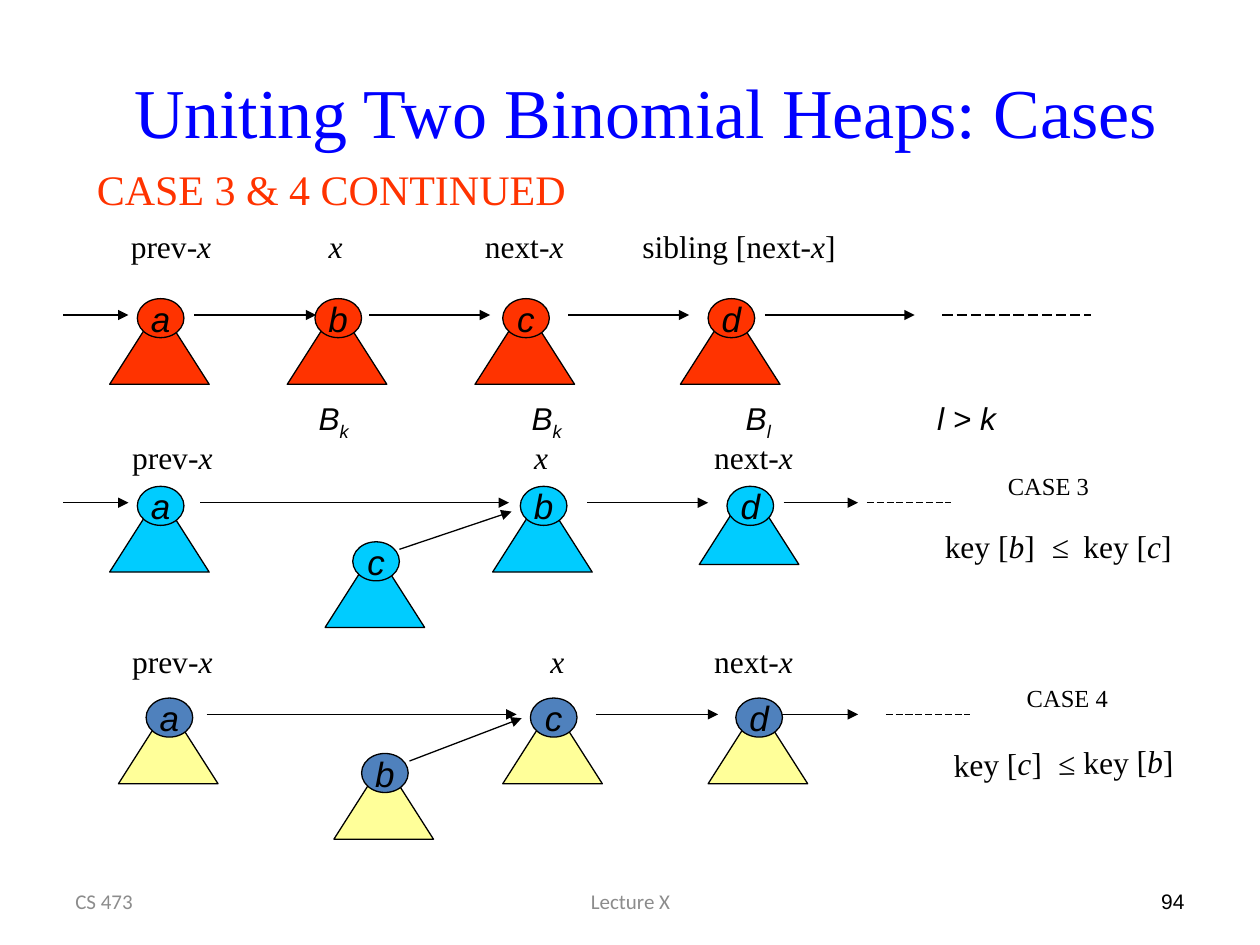
from dataclasses import dataclass

from pptx import Presentation
from pptx.dml.color import RGBColor
from pptx.enum.dml import MSO_LINE
from pptx.enum.shapes import MSO_CONNECTOR, MSO_SHAPE
from pptx.enum.text import MSO_ANCHOR, PP_ALIGN
from pptx.oxml.ns import qn
from pptx.util import Emu, Pt
from lxml.etree import SubElement

PX = 9144  # EMU per px: 100 px to the inch
SERIF, SANS, FOOTER_FONT = "Times New Roman", "Arial", "Calibri"
BLACK, GREY, BLUE, RED = "000000", "8C8C8C", "0000FF", "FF3300"
CYAN, YELLOW, STEEL = "00CCFF", "FFFF99", "4F81BD"
TREE_WIDTH, TREE_HEIGHT = 79, 62
ROOT_WIDTH, ROOT_HEIGHT, ROOT_INSET = 37, 31, 22


@dataclass
class Label:
    """Text where *...* is italic and ~...~ is subscript; tabs in px."""
    text: str
    left: int
    top: int
    width: int
    height: int = 40
    size: int = 18
    font: str = SERIF
    color: str = BLACK
    tabs: tuple[int, ...] = ()
    align: PP_ALIGN = PP_ALIGN.LEFT
    anchor: MSO_ANCHOR = MSO_ANCHOR.TOP
    rotation: float = 0


@dataclass
class Tree:
    name: str
    left: int
    top: int
    drop: int = 6  # from the top of the root to the tip of the triangle


@dataclass
class Heap:
    root_color: str
    tree_color: str
    trees: list[Tree]


@dataclass
class Link:
    x1: int
    y1: int
    x2: int
    y2: int
    dashed: bool = False
    width: float = 0.75


LABELS = [
    Label("CS 473", 50, 695, 233, size=12, font=FOOTER_FONT, color=GREY,
          anchor=MSO_ANCHOR.MIDDLE),
    Label("Lecture X", 342, 695, 317, size=12, font=FOOTER_FONT, color=GREY,
          align=PP_ALIGN.CENTER, anchor=MSO_ANCHOR.MIDDLE),
    Label("94", 717, 695, 233, size=12, font=SANS,
          align=PP_ALIGN.RIGHT, anchor=MSO_ANCHOR.MIDDLE),
    Label("Uniting Two Binomial Heaps: Cases", 50, 25, 925, 125, size=40,
          color=BLUE, align=PP_ALIGN.CENTER, anchor=MSO_ANCHOR.MIDDLE),
    Label("CASE 3 & 4 CONTINUED", 67, 125, 450, 58, size=24, color=RED),
    Label("prev*-x\tx\t*next*-x\t*sibling [next*-x*]", 94, 175, 693,
          tabs=(157, 281, 406)),
    Label("*B~k~\tB~k~\tB~l~\tl > k*", 243, 312, 592, font=SANS,
          tabs=(169, 339, 491)),
    Label("prev*-x\tx\t*next*-x*", 95, 343, 609, tabs=(319, 462)),
    Label("prev*-x\tx\t*next*-x*", 95, 505, 609, tabs=(332, 462)),
    Label("CASE 3", 790, 369, 121, 33, size=14),
    Label("key [*b*]\t≤\tkey [*c*]", 740, 413, 226, tabs=(85, 110)),
    Label("CASE 4", 805, 537, 121, 33, size=14),
    Label("key [*c*]\t≤ key [*b*]", 747, 585, 211, tabs=(83,), rotation=-1.1),
]

HEAPS = [
    Heap(RED, RED, [Tree("a", 87, 237), Tree("b", 228, 237),
                    Tree("c", 377, 237), Tree("d", 540, 237)]),
    Heap(CYAN, CYAN, [Tree("a", 87, 386), Tree("c", 258, 430),
                      Tree("b", 391, 386), Tree("d", 555, 386, drop=0)]),
    Heap(STEEL, YELLOW, [Tree("a", 94, 554), Tree("b", 265, 598),
                         Tree("c", 399, 554), Tree("d", 562, 554)]),
]

# For each row: its height and the start and end of every arrow
ARROW_ROWS = [
    (250, [(50, 102), (154, 251), (293, 389), (451, 547), (607, 726)]),
    (399, [(50, 102), (159, 404), (466, 562), (622, 681)]),
    (567, [(164, 410), (473, 570), (621, 681)]),
]
LINKS = [Link(start, y, end, y) for y, spans in ARROW_ROWS for start, end in spans]
LINKS += [
    Link(317, 436, 406, 406),
    Link(325, 604, 414, 570),
    Link(748, 250, 866, 250, dashed=True),
    Link(688, 399, 755, 399, dashed=True, width=0.5),
    Link(703, 567, 770, 567, dashed=True, width=0.5),
]


def rgb(color: str) -> RGBColor:
    return RGBColor.from_string(color)


def box(*lengths: int) -> list[Emu]:
    return [Emu(length * PX) for length in lengths]


def add_label(slide, label: Label) -> None:
    shape = slide.shapes.add_textbox(
        *box(label.left, label.top, label.width, label.height))
    shape.rotation = label.rotation
    frame = shape.text_frame
    frame.word_wrap = True
    frame.vertical_anchor = label.anchor
    paragraph = frame.paragraphs[0]
    paragraph.alignment = label.align
    if label.tabs:
        tab_list = SubElement(paragraph._p.get_or_add_pPr(), qn("a:tabLst"))
        for position in label.tabs:
            SubElement(tab_list, qn("a:tab"), pos=str(position * PX), algn="l")
    for i, part in enumerate(label.text.split("*")):
        for j, text in enumerate(part.split("~")):
            if not text:
                continue
            run = paragraph.add_run()
            run.text = text
            run.font.size = Pt(label.size)
            run.font.name = label.font
            run.font.italic = i % 2 == 1
            run.font.color.rgb = rgb(label.color)
            if j % 2:
                run.font._element.set("baseline", "-25000")


def add_outlined(slide, kind: MSO_SHAPE, color: str, *place: int):
    shape = slide.shapes.add_shape(kind, *box(*place))
    shape.shadow.inherit = False
    shape.fill.solid()
    shape.fill.fore_color.rgb = rgb(color)
    shape.line.color.rgb = rgb(BLACK)
    shape.line.width = Pt(0.75)
    return shape


def add_tree(slide, tree: Tree, heap: Heap) -> None:
    add_outlined(slide, MSO_SHAPE.ISOSCELES_TRIANGLE, heap.tree_color,
                 tree.left, tree.top + tree.drop, TREE_WIDTH, TREE_HEIGHT)
    root = add_outlined(slide, MSO_SHAPE.OVAL, heap.root_color,
                        tree.left + ROOT_INSET, tree.top, ROOT_WIDTH, ROOT_HEIGHT)
    frame = root.text_frame
    frame.text = tree.name
    frame.word_wrap = False
    frame.vertical_anchor = MSO_ANCHOR.MIDDLE
    paragraph = frame.paragraphs[0]
    paragraph.alignment = PP_ALIGN.CENTER
    font = paragraph.runs[0].font
    font.size, font.name, font.italic = Pt(20), SANS, True
    font.color.rgb = rgb(BLACK)


def add_link(slide, link: Link) -> None:
    connector = slide.shapes.add_connector(
        MSO_CONNECTOR.STRAIGHT, *box(link.x1, link.y1, link.x2, link.y2))
    connector.line.color.rgb = rgb(BLACK)
    connector.line.width = Pt(link.width)
    if link.dashed:
        connector.line.dash_style = MSO_LINE.LONG_DASH
    else:
        SubElement(connector.line._get_or_add_ln(), qn("a:tailEnd"), type="triangle")
    SubElement(connector._element.spPr, qn("a:effectLst"))


def main() -> None:
    presentation = Presentation()
    presentation.slide_width, presentation.slide_height = box(1000, 750)
    slide = presentation.slides.add_slide(presentation.slide_layouts[6])
    for label in LABELS:
        add_label(slide, label)
    for link in LINKS:
        add_link(slide, link)
    for heap in HEAPS:
        for tree in heap.trees:
            add_tree(slide, tree, heap)
    presentation.save("out.pptx")


if __name__ == "__main__":
    main()
